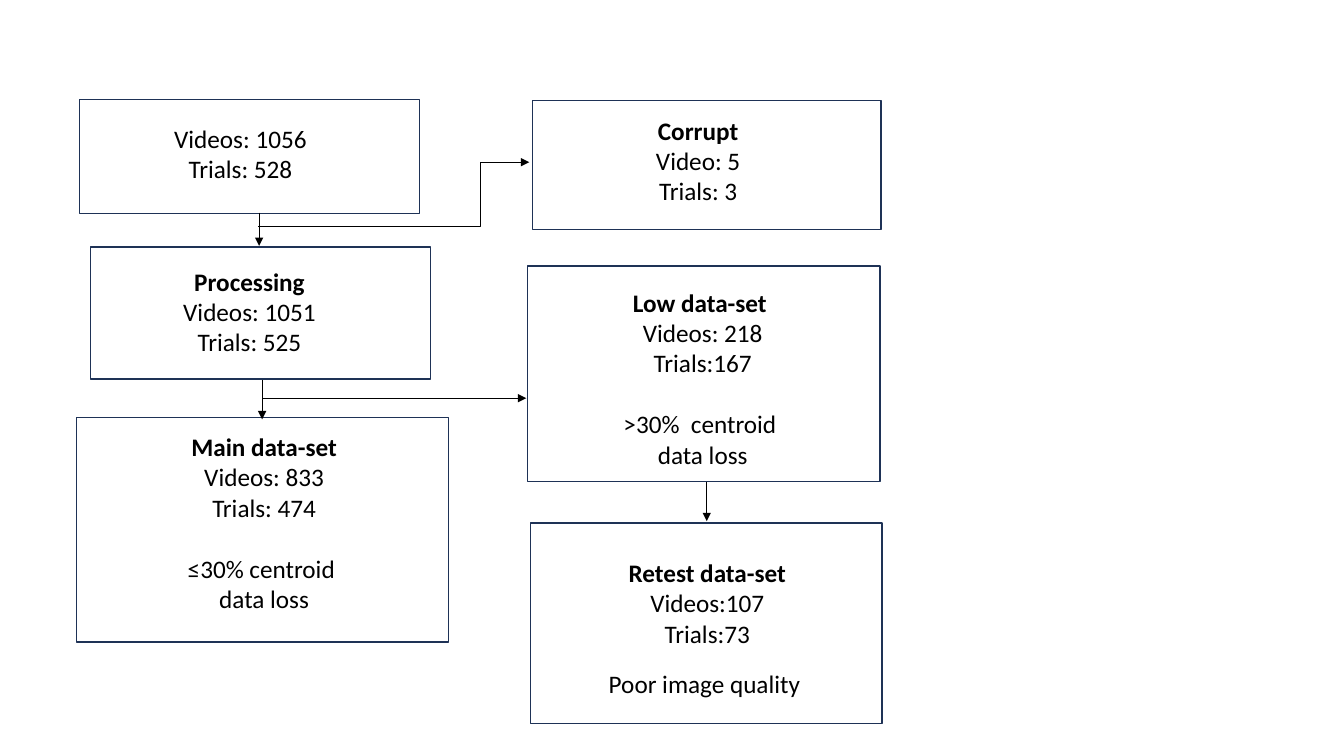
"""Build a slide with the flow of videos and trials through the data-sets."""
from lxml.etree import SubElement
from pptx import Presentation
from pptx.dml.color import RGBColor
from pptx.enum.shapes import MSO_CONNECTOR, MSO_SHAPE
from pptx.enum.text import MSO_ANCHOR, PP_ALIGN
from pptx.oxml.ns import qn
from pptx.util import Pt

PX = 9144
BLANK_LAYOUT = 6


def color(value):
    return RGBColor.from_string(value)


deck = Presentation()
deck.slide_width, deck.slide_height = 1333 * PX, 750 * PX
page = deck.slides.add_slide(deck.slide_layouts[BLANK_LAYOUT])

frames = [
    (79, 99, 337, 113),
    (528, 100, 346, 128),
    (90, 245, 337, 131),
    (523, 264, 350, 214),
    (76, 414, 369, 223),
    (526, 519, 349, 199),
]
for place in frames:
    frame = page.shapes.add_shape(MSO_SHAPE.RECTANGLE, *[n * PX for n in place])
    frame.shadow.inherit = False
    frame.fill.background()
    frame.line.color.rgb = color("1E3256")
    frame.line.width = Pt(1)

labels = [
    ((162, 117, 153, 71), False, "", ["Videos: 1056", "Trials: 528"], []),
    ((536, 109, 313, 101), True, "Corrupt", ["Video: 5", "Trials: 3"], []),
    ((171, 259, 153, 101), False, "Processing", ["Videos: 1051", "Trials: 525"], []),
    ((544, 280, 306, 192), True, "Low data-set ", ["Videos: 218", "Trials:167"],
     [">30%  centroid ", "data loss"]),
    ((175, 423, 174, 222), False, "Main data-set", ["Videos: 833", "Trials: 474"],
     ["≤30% centroid ", "data loss"]),
    ((589, 548, 225, 101), True, "Retest data-set", ["Videos:107", "Trials:73"], []),
    ((589, 658, 225, 40), True, "", ["Poor image quality "], []),
]
for place, wrap, heading, counts, reason in labels:
    box = page.shapes.add_textbox(*[n * PX for n in place])
    frame = box.text_frame
    frame.word_wrap = wrap
    frame.vertical_anchor = MSO_ANCHOR.TOP
    lines = ([heading] if heading else []) + counts + reason
    for index, line in enumerate(lines):
        para = frame.add_paragraph() if index else frame.paragraphs[0]
        para.alignment = PP_ALIGN.CENTER
        if reason and line == reason[0]:
            para.space_before = Pt(22)
        span = para.add_run()
        span.text = line
        span.font.name = "Calibri"
        span.font.size = Pt(18)
        span.font.bold = line == heading
        span.font.color.rgb = color("000000")

arrows = [
    (MSO_CONNECTOR.STRAIGHT, 257, 211, 257, 244),
    (MSO_CONNECTOR.ELBOW, 256, 225, 525, 161),
    (MSO_CONNECTOR.STRAIGHT, 260, 377, 260, 416),
    (MSO_CONNECTOR.STRAIGHT, 260, 395, 522, 395),
    (MSO_CONNECTOR.STRAIGHT, 701, 478, 701, 517),
]
for kind, *ends in arrows:
    arrow = page.shapes.add_connector(kind, *[n * PX for n in ends])
    arrow.line.color.rgb = color("000000")
    arrow.line.width = Pt(0.5)
    properties = arrow.element.spPr
    SubElement(properties.find(qn("a:ln")), qn("a:tailEnd"), type="triangle")
    SubElement(properties, qn("a:effectLst"))
    if kind == MSO_CONNECTOR.ELBOW:
        adjustments = properties.find(qn("a:prstGeom")).find(qn("a:avLst"))
        SubElement(adjustments, qn("a:gd"), name="adj1", fmla="val 82000")

deck.save("out.pptx")
